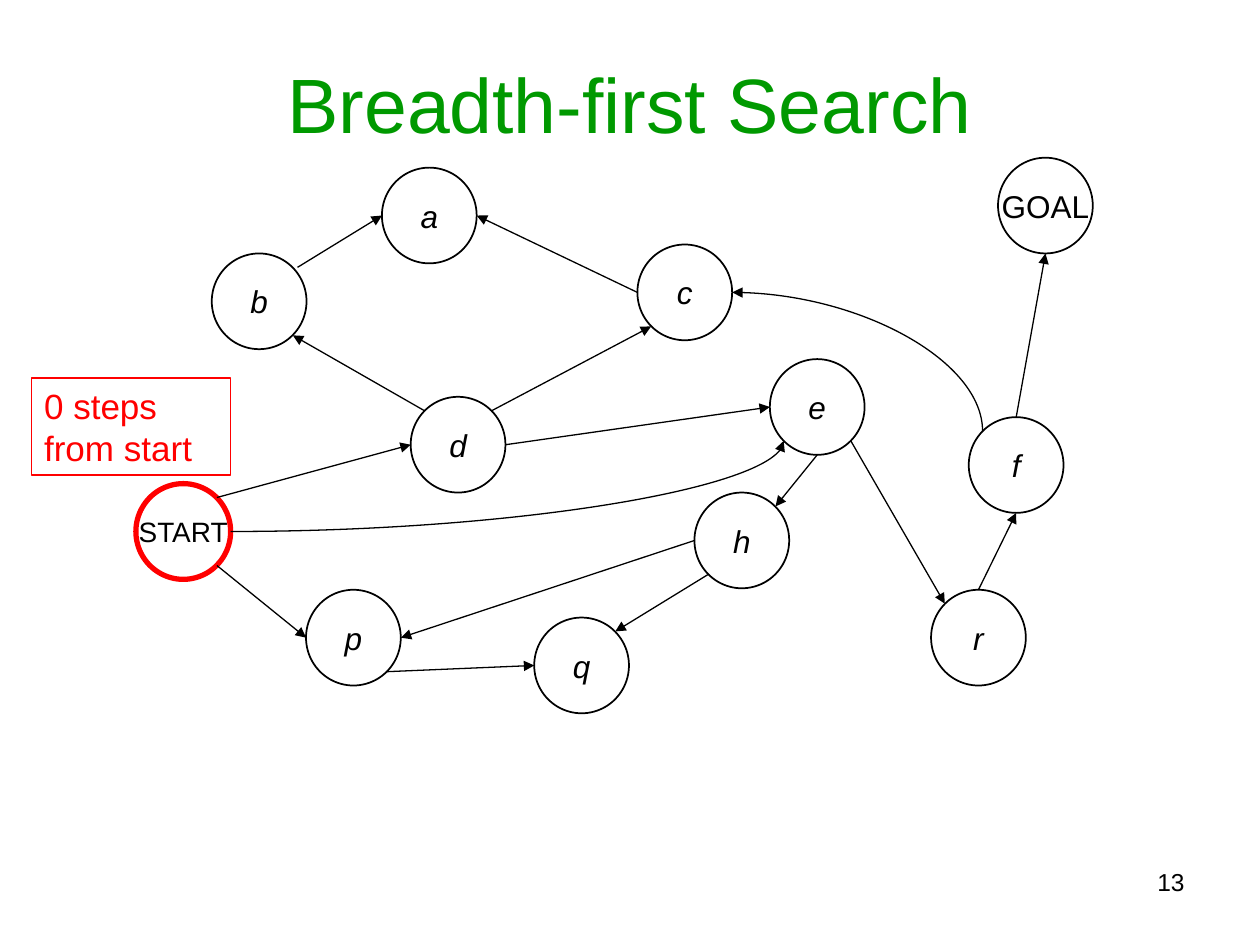
from dataclasses import dataclass

from lxml import etree
from pptx import Presentation
from pptx.dml.color import RGBColor
from pptx.enum.shapes import MSO_CONNECTOR, MSO_SHAPE
from pptx.enum.text import MSO_ANCHOR, PP_ALIGN
from pptx.oxml.ns import qn
from pptx.util import Cm, Pt

CIRCLE, RECT = MSO_SHAPE.FLOWCHART_CONNECTOR, MSO_SHAPE.RECTANGLE
LINE, CURVE = MSO_CONNECTOR.STRAIGHT, MSO_CONNECTOR.CURVE
TOP, MIDDLE = MSO_ANCHOR.TOP, MSO_ANCHOR.MIDDLE
LEFT, CENTER, RIGHT = PP_ALIGN.LEFT, PP_ALIGN.CENTER, PP_ALIGN.RIGHT


@dataclass(frozen=True)
class Theme:
    """Colours, font, type sizes and line widths of the slide."""
    ink: RGBColor = RGBColor(0, 0, 0)
    green: RGBColor = RGBColor(0x00, 0x99, 0x00)
    red: RGBColor = RGBColor(0xFF, 0, 0)
    font: str = "Arial"
    title: int = 44
    note: int = 20
    node: int = 18
    start: int = 16
    page: int = 14
    thin: float = 0.75
    ring: float = 1
    bold: float = 3


THEME = Theme()
WIDE, HIGH = 1.91, 1.93
NODES = {
    "START": (2.74, 9.75), "GOAL": (20.12, 3.18), "d": (8.28, 8),
    "b": (4.27, 5.11), "p": (6.17, 11.89), "q": (10.77, 12.45),
    "c": (12.85, 4.93), "e": (15.52, 7.24), "h": (14, 9.93),
    "a": (7.7, 3.38), "f": (19.53, 8.41), "r": (18.77, 11.89),
}
SITES = {
    "n": (0, -1), "s": (0, 1), "w": (-1, 0), "e": (1, 0),
    "nw": (-0.71, -0.71), "ne": (0.71, -0.71),
    "sw": (-0.71, 0.71), "se": (0.71, 0.71), "ene": (0.81, -0.71),
}
EDGES = [
    ("START", "se", "p", "w"), ("p", "se", "q", "w"),
    ("h", "sw", "q", "ne"), ("h", "w", "p", "e"),
    ("e", "s", "h", "ne"), ("e", "se", "r", "nw"),
    ("r", "n", "f", "s"), ("f", "n", "GOAL", "s"),
    ("START", "ne", "d", "w"), ("d", "nw", "b", "se"),
    ("b", "ene", "a", "w"), ("c", "w", "a", "e"),
    ("d", "ne", "c", "sw"), ("d", "e", "e", "w"),
]


def write(shape, text, size, color, align, anchor, wrap=True, italic=False):
    """Fill a shape with one formatted run."""
    frame = shape.text_frame
    frame.word_wrap, frame.vertical_anchor = wrap, anchor
    para = frame.paragraphs[0]
    para.alignment = align
    run = para.add_run()
    run.text = text
    font = run.font
    font.name, font.size, font.italic = THEME.font, Pt(size), italic
    font.color.rgb = color


def outline(slide, kind, box, color, width):
    """Add an unfilled preset shape with a coloured outline."""
    shape = slide.shapes.add_shape(kind, *map(Cm, box))
    shape.shadow.inherit = False
    shape.fill.background()
    shape.line.color.rgb, shape.line.width = color, Pt(width)
    return shape


def add_node(slide, name, spot):
    """Add a labelled graph node."""
    first = name == "START"
    color, width = (THEME.red, THEME.bold) if first else (THEME.ink, THEME.ring)
    shape = outline(slide, CIRCLE, (*spot, WIDE, HIGH), color, width)
    write(shape, name, THEME.start if first else THEME.node, THEME.ink,
          CENTER, MIDDLE, wrap=False, italic=len(name) == 1)


def site(name, side):
    """Return the point on the rim of a node."""
    (left, top), (dx, dy) = NODES[name], SITES[side]
    return left + WIDE / 2 * (1 + dx), top + HIGH / 2 * (1 + dy)


def arrow(slide, kind, tail, head):
    """Add a connector that ends in a triangle."""
    link = slide.shapes.add_connector(kind, *map(Cm, (*tail, *head)))
    link.line.color.rgb, link.line.width = THEME.ink, Pt(THEME.thin)
    line = link.line._get_or_add_ln()
    etree.SubElement(line, qn("a:tailEnd"), type="triangle")
    etree.SubElement(link._element.spPr, qn("a:effectLst"))
    return link


def bend(slide, tail, head, rise=False):
    """Add a quarter-curve arrow, leaving upward if rise is set."""
    (ax, ay), (bx, by) = tail, head
    if rise:
        mx, my = (ax + bx) / 2, (ay + by) / 2
        dx, dy = abs(ay - by) / 2, abs(ax - bx) / 2
        tail, head = (mx - dx, my + dy), (mx + dx, my - dy)
    props = arrow(slide, CURVE, tail, head)._element.spPr
    props.find(qn("a:prstGeom")).set("prst", "curvedConnector2")
    if rise:
        props.find(qn("a:xfrm")).set("rot", "16200000")


def add_title(slide, text):
    """Place and format the title."""
    title = slide.shapes.title
    title.left, title.top, title.width, title.height = map(
        Cm, (1.27, 0.76, 22.86, 2.62))
    write(title, text, THEME.title, THEME.green, CENTER, MIDDLE)


def add_note(slide, text):
    """Add the framed red note."""
    box = outline(slide, RECT, (0.64, 7.62, 4.01, 1.96), THEME.red, THEME.thin)
    write(box, text, THEME.note, THEME.red, LEFT, TOP)


def add_page(slide, text):
    """Add the page number."""
    box = slide.shapes.add_textbox(*map(Cm, (12.27, 17.35, 11.86, 1.32)))
    write(box, text, THEME.page, THEME.ink, RIGHT, TOP)


def main():
    """Build and save the slide."""
    deck = Presentation()
    deck.slide_width, deck.slide_height = Cm(25.4), Cm(19.05)
    slide = deck.slides.add_slide(deck.slide_layouts[5])
    for name, spot in NODES.items():
        add_node(slide, name, spot)
    for tail, out, head, into in EDGES:
        arrow(slide, LINE, site(tail, out), site(head, into))
    bend(slide, site("f", "nw"), site("c", "e"), rise=True)
    bend(slide, site("START", "e"), site("e", "sw"))
    add_title(slide, "Breadth-first Search")
    add_note(slide, "0 steps from start")
    add_page(slide, "13")
    deck.save("out.pptx")


if __name__ == "__main__":
    main()
